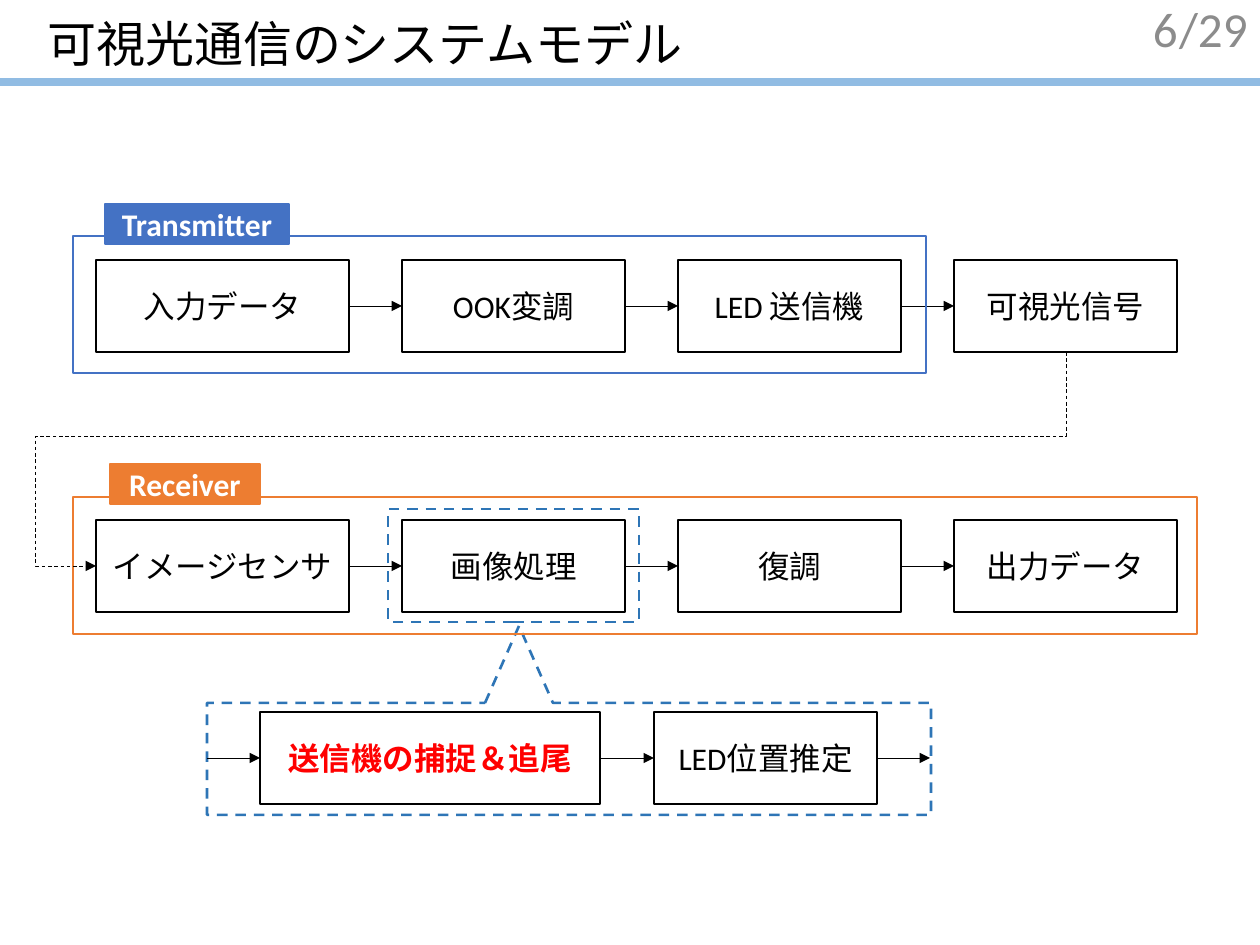
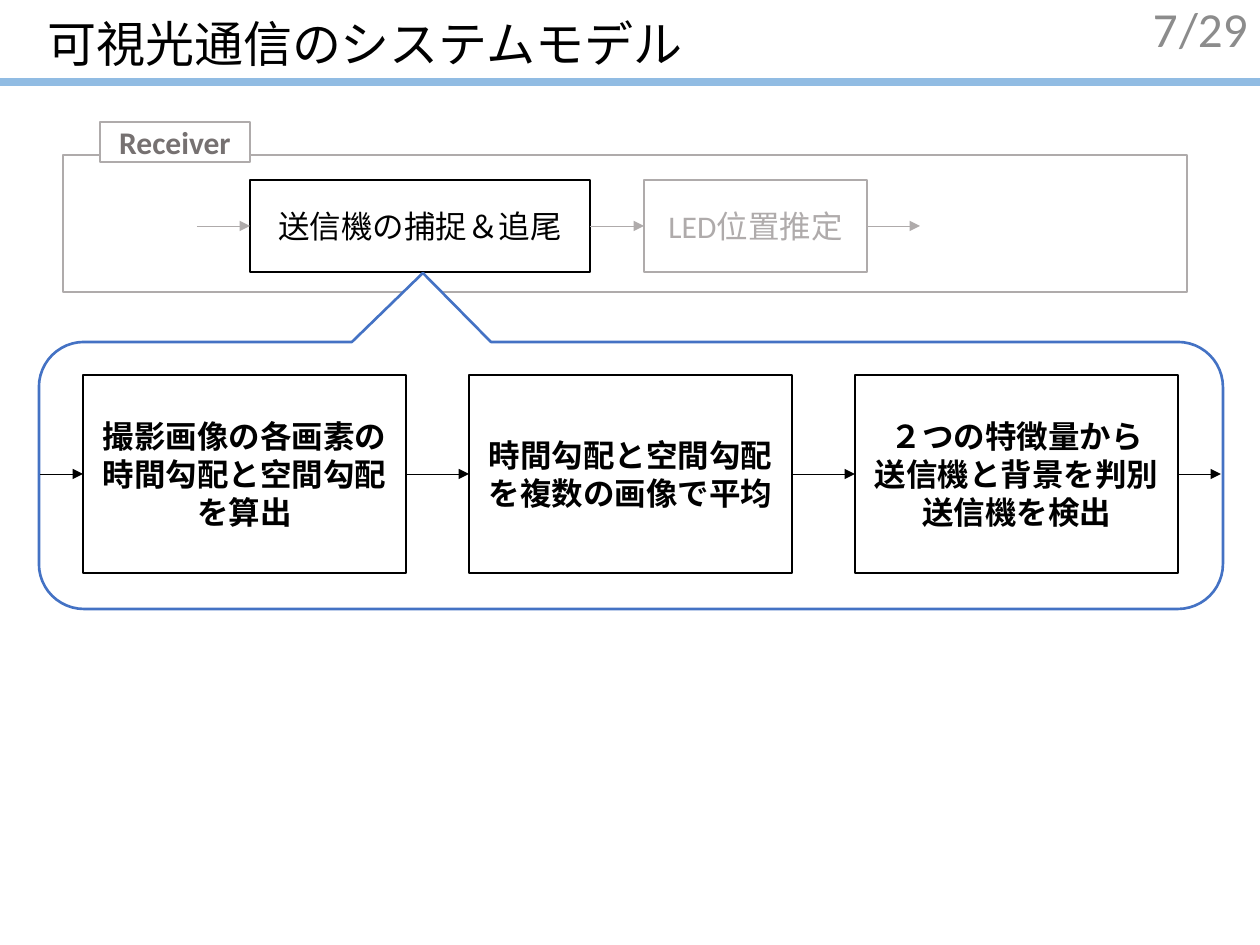
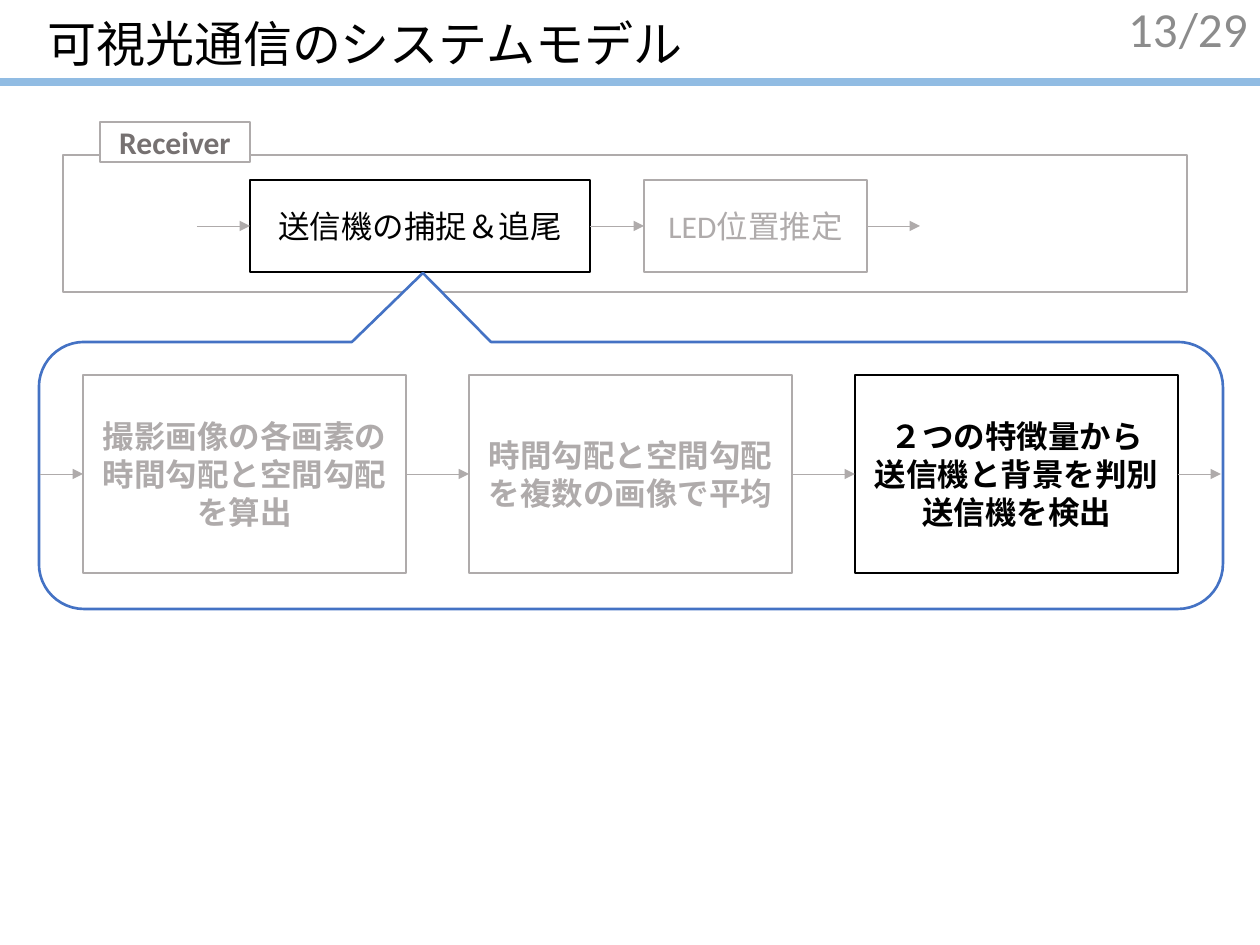
import math
from dataclasses import dataclass

from lxml import etree
from pptx import Presentation
from pptx import util as u
from pptx.dml.color import RGBColor
from pptx.enum import dml, shapes, text
from pptx.oxml.ns import qn

SCALE = 914400 / 126


def px(n):
    return u.Emu(round(n * SCALE))


@dataclass(frozen=True)
class Theme:
    font: str = "Calibri"
    title_size: int = 28
    body_size: int = 18
    black: str = "000000"
    white: str = "FFFFFF"
    red: str = "FF0000"
    blue: str = "4472C4"
    orange: str = "ED7D31"
    detail: str = "2E75B6"
    rule: str = "91BCE3"
    page: str = "8C8C8C"
    muted: str = "AFABAB"
    muted_label: str = "767171"


T = Theme()
BOX_H = 92
BOX_W = 223
ARROW = 53


class Deck:
    def __init__(self):
        self.prs = Presentation()
        self.prs.slide_width, self.prs.slide_height = px(1260), px(945)
        self.s = None

    def slide(self, title, number, total):
        self.s = self.prs.slides.add_slide(self.prs.slide_layouts[6])
        self.line((0, 82), (1260, 82), T.rule, 4.5)
        self.textbox(1133, 3, 127, 50, f"/{total}", T.page, text.PP_ALIGN.RIGHT)
        p = self.textbox(35, 0, 1138, 93, title, T.black, text.PP_ALIGN.LEFT)
        p.line_spacing = 0.9
        self.textbox(906, 3, 284, 50, str(number), T.page, text.PP_ALIGN.RIGHT)

    def set_text(self, sp, lines, color, size, bold=False, align=text.PP_ALIGN.CENTER):
        tf = sp.text_frame
        tf.word_wrap = True
        tf.vertical_anchor = text.MSO_ANCHOR.MIDDLE
        tf.text = lines
        for p in tf.paragraphs:
            p.alignment = align
            p.font.name = T.font
            p.font.size = u.Pt(size)
            p.font.bold = bold
            p.font.color.rgb = RGBColor.from_string(color)
        return tf.paragraphs[0]

    def textbox(self, x, y, w, h, words, color, align):
        sp = self.s.shapes.add_textbox(px(x), px(y), px(w), px(h))
        return self.set_text(sp, words, color, T.title_size, align=align)

    def paint(self, sp, line, width, fill=None, dash=False):
        sp.shadow.inherit = False
        if fill:
            sp.fill.solid()
            sp.fill.fore_color.rgb = RGBColor.from_string(fill)
        else:
            sp.fill.background()
        self.stroke(sp, line, width, dash)

    def stroke(self, sp, color, width, dash=False):
        sp.line.color.rgb = RGBColor.from_string(color)
        sp.line.width = u.Pt(width)
        if dash:
            sp.line.dash_style = dml.MSO_LINE.DASH

    def rect(self, x, y, w, h, line, width, fill=None, dash=False):
        sp = self.s.shapes.add_shape(shapes.MSO_SHAPE.RECTANGLE, px(x), px(y), px(w), px(h))
        self.paint(sp, line, width, fill, dash)
        return sp

    def box(self, x, y, w, h, words, color=T.black, ink=None, width=1, bold=False):
        sp = self.rect(x, y, w, h, color, width)
        self.set_text(sp, words, ink or color, T.body_size, bold)
        return sp

    def label(self, x, y, w, words, line, fill, ink):
        sp = self.rect(x, y, w, 40, line, 1.25, fill)
        self.set_text(sp, words, ink, T.body_size, True)

    def finish(self, cx, color, width, dash=False, head=False):
        self.stroke(cx, color, width, dash)
        sp_pr = cx._element.spPr
        if head:
            etree.SubElement(sp_pr.find(qn("a:ln")), qn("a:tailEnd"), type="triangle")
        etree.SubElement(sp_pr, qn("a:effectLst"))

    def line(self, start, end, color, width, head=False):
        cx = self.s.shapes.add_connector(
            shapes.MSO_CONNECTOR.STRAIGHT, *map(px, start + end))
        self.finish(cx, color, width, head=head)
        return cx

    def arrow(self, y, color, a=None, b=None, start=0, end=0):
        cx = self.line((start, y), (end, y), color, 0.5, head=True)
        if a is not None:
            cx.begin_connect(a, 3)
        if b is not None:
            cx.end_connect(b, 1)

    def chain(self, boxes, y, color, start=None, end=None):
        if start is not None:
            self.arrow(y, color, b=boxes[0], start=start)
        for a, b in zip(boxes, boxes[1:]):
            self.arrow(y, color, a, b)
        if end is not None:
            self.arrow(y, color, a=boxes[-1], end=end)

    def return_path(self, start, end, drop, overshoot):
        (x1, y1), (x2, y2) = start, end
        w, h = y2 - y1, x1 - x2
        left, top = (x1 + x2 - w) / 2, (y1 + y2 - h) / 2
        cx = self.s.shapes.add_connector(
            shapes.MSO_CONNECTOR.ELBOW, px(left), px(top), px(left + w), px(top + h))
        sp_pr = cx._element.spPr
        sp_pr.find(qn("a:xfrm")).set("rot", "5400000")
        geom = sp_pr.find(qn("a:prstGeom"))
        geom.set("prst", "bentConnector4")
        guides = geom.find(qn("a:avLst"))
        if guides is None:
            guides = etree.SubElement(geom, qn("a:avLst"))
        for name, share in (("adj1", drop / w), ("adj2", 1 + overshoot / h)):
            etree.SubElement(guides, qn("a:gd"), name=name, fmla=f"val {round(share * 100000)}")
        self.finish(cx, T.black, 0.5, dash=True, head=True)

    def callout(self, x, y, w, h, tip, base, color, radius=0, fill=None, dash=False):
        r = radius
        centres = ((x + w - r, y + r), (x + w - r, y + h - r), (x + r, y + h - r), (x + r, y + r))
        points = [(base[0], y), tip, (base[1], y)]
        for i, (cx, cy) in enumerate(centres):
            for step in range(13 if r else 1):
                a = math.radians(90 * (i - 1) + 7.5 * step)
                points.append((cx + r * math.cos(a), cy + r * math.sin(a)))
        emu = [(px(a), px(b)) for a, b in points]
        fb = self.s.shapes.build_freeform(*emu[0], scale=1.0)
        fb.add_line_segments(emu[1:], close=True)
        self.paint(fb.convert_to_shape(), color, 1.5, fill, dash)

    def row(self, y, names):
        boxes = [self.box(96, y, 253, BOX_H, names[0])]
        boxes += [self.box(402 + 276 * i, y, BOX_W, BOX_H, name)
                  for i, name in enumerate(names[1:])]
        self.chain(boxes, y + BOX_H // 2, T.black)

    def tracking(self, x, y, ink, bold, rest):
        second = x + 394
        boxes = [self.box(x, y, 340, BOX_H, "送信機の捕捉＆追尾", ink=ink, bold=bold),
                 self.box(second, y, BOX_W, BOX_H, "LED位置推定", rest)]
        self.chain(boxes, y + BOX_H // 2, rest, x - ARROW, second + BOX_W + ARROW)


TITLE = "可視光通信のシステムモデル"
TOTAL = 29
STEPS = (
    "撮影画像の各画素の\n時間勾配と空間勾配\nを算出",
    "時間勾配と空間勾配\nを複数の画像で平均",
    "２つの特徴量から\n送信機と背景を判別送信機を検出",
)


def overview(d):
    d.slide(TITLE, 6, TOTAL)
    d.row(260, ("入力データ", "OOK変調", "LED 送信機", "可視光信号"))
    d.row(520, ("イメージセンサ", "画像処理", "復調", "出力データ"))
    d.rect(388, 509, 251, 113, T.detail, 1.5, dash=True)
    d.callout(207, 703, 724, 112, (519, 626), (485, 553), T.detail, dash=True)
    d.tracking(260, 712, T.red, True, T.black)
    d.rect(73, 497, 1124, 137, T.orange, 1.25)
    d.label(110, 464, 150, "Receiver", T.orange, T.orange, T.white)
    d.rect(73, 236, 853, 137, T.blue, 1.25)
    d.label(105, 204, 184, "Transmitter", T.blue, T.blue, T.white)
    d.return_path((1066, 352), (96, 566), 84, 60)


def detection(d, number, active, arrow_color):
    d.slide(TITLE, number, TOTAL)
    d.tracking(250, 180, T.black, False, T.muted)
    d.rect(63, 155, 1124, 137, T.muted, 1.25)
    d.callout(39, 342, 1184, 267, (423, 273), (352, 491), T.blue, 45, T.white)
    d.label(100, 122, 150, "Receiver", T.muted, T.white, T.muted_label)
    boxes = [d.box(83 + 386 * i, 375, 323, 198, words,
                   T.black if i in active else T.muted, width=1.5, bold=True)
             for i, words in enumerate(STEPS)]
    d.chain(boxes, 474, arrow_color, 40, 1221)


def main():
    d = Deck()
    overview(d)
    detection(d, 7, (0, 1, 2), T.black)
    detection(d, 13, (2,), T.muted)
    d.prs.save("out.pptx")


if __name__ == "__main__":
    main()
